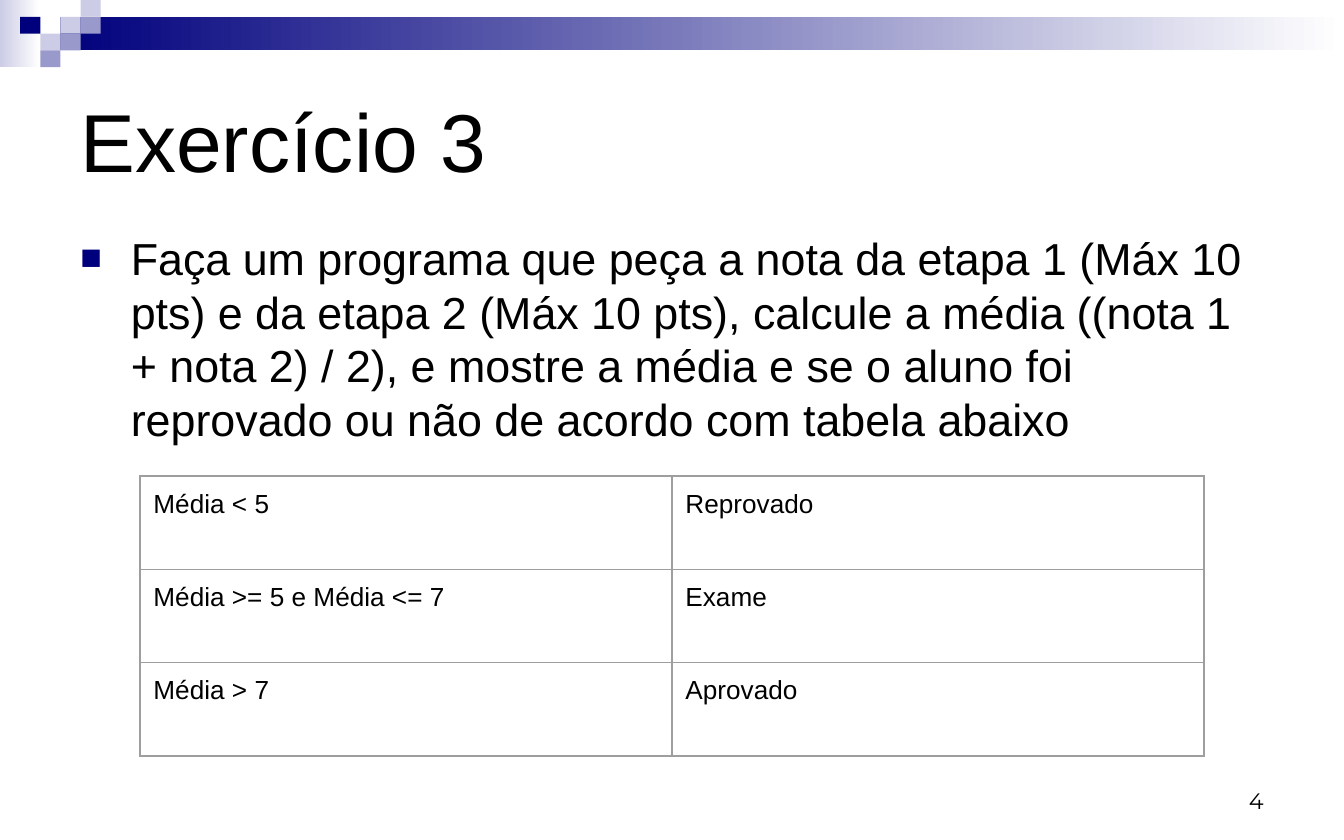
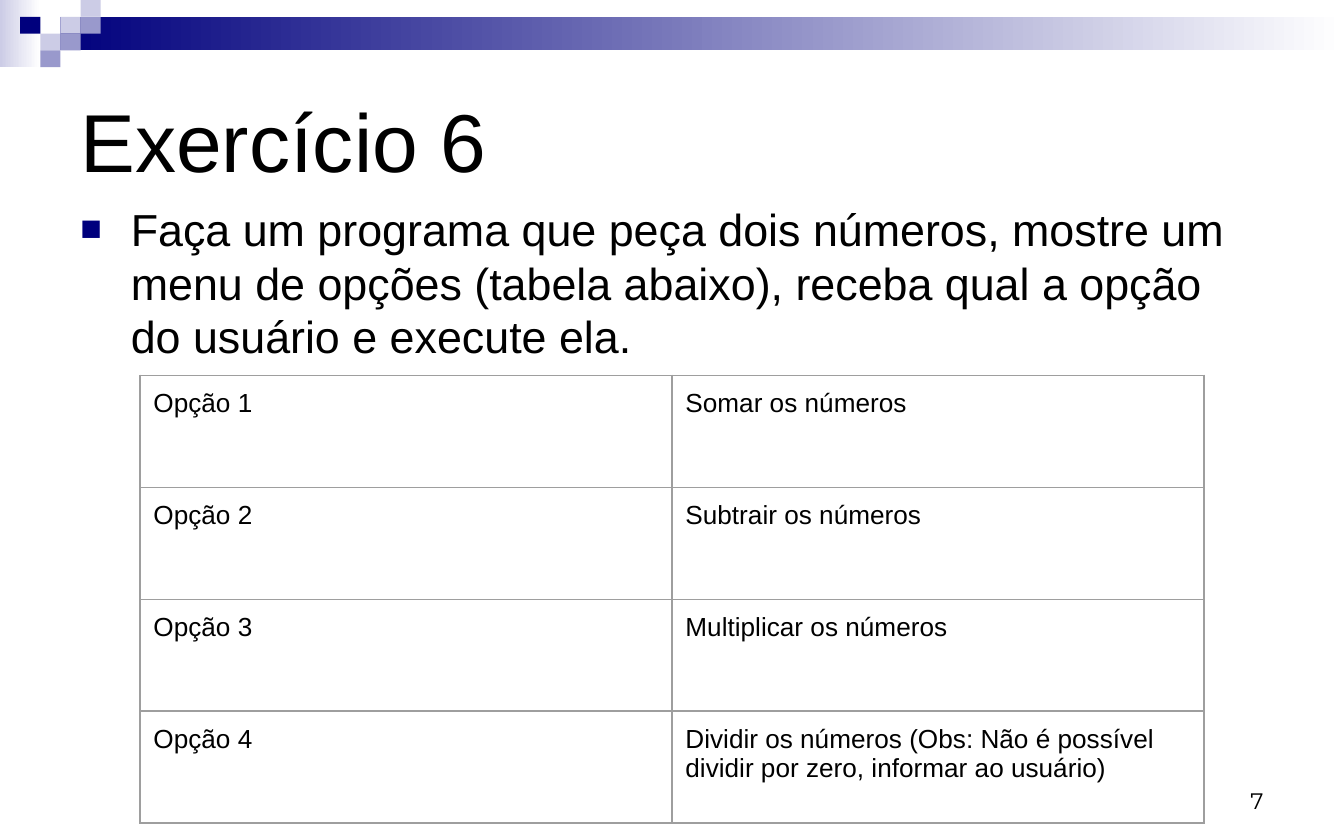
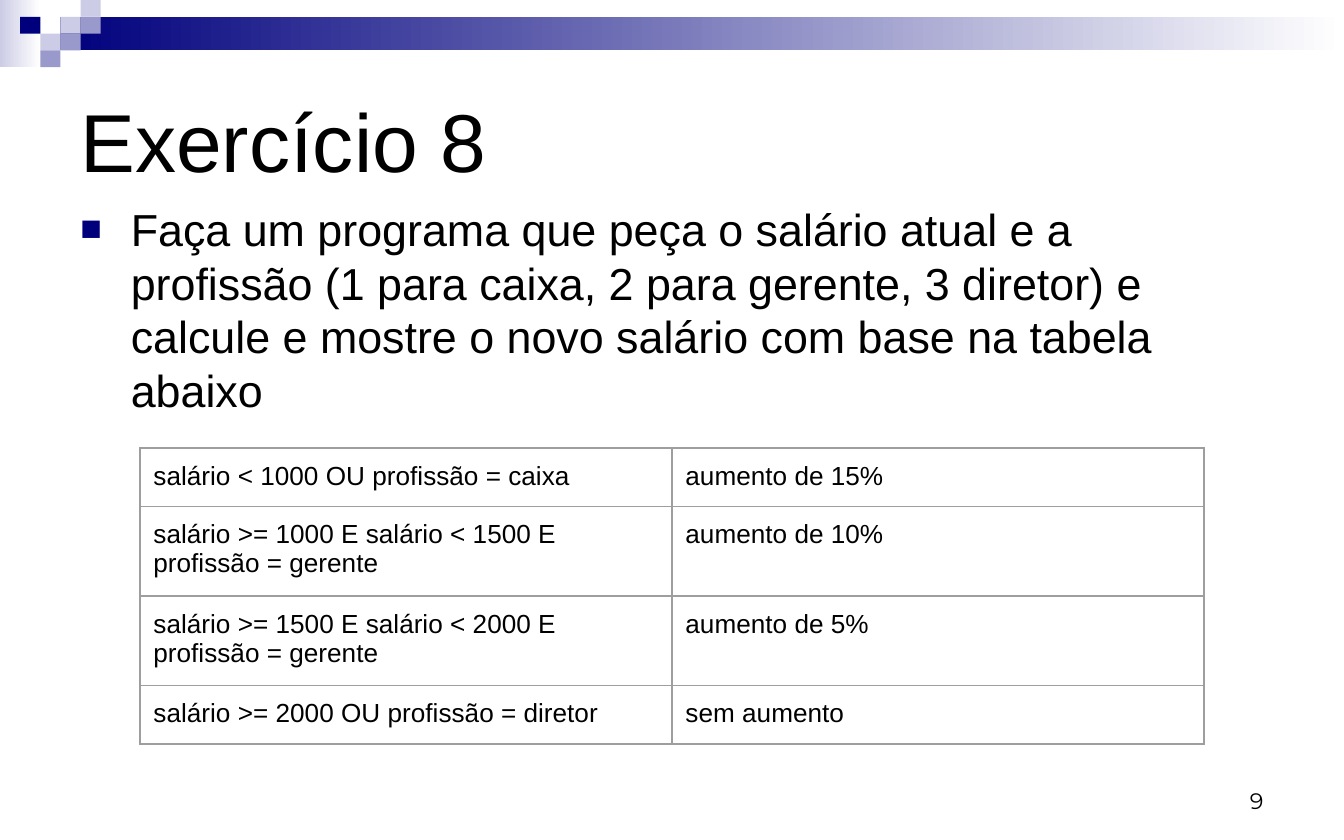
from dataclasses import dataclass

from lxml.etree import SubElement
from pptx import Presentation
from pptx.dml.color import RGBColor
from pptx.enum.shapes import MSO_SHAPE
from pptx.enum.text import MSO_ANCHOR, PP_ALIGN
from pptx.oxml import parse_xml
from pptx.oxml.ns import nsdecls, qn
from pptx.util import Emu, Inches, Pt

COLS, ROWS = 240, 150


@dataclass(frozen=True)
class Theme:
    navy: str = "00007D"
    mid: str = "9999CC"
    pale: str = "CCCCE6"
    white: str = "FFFFFF"
    ink: str = "000000"
    rule: str = "9E9E9E"
    font: str = "Arial"
    page_font: str = "Montserrat"
    title: int = 44
    body: int = 24
    cell: int = 14
    page: int = 12
    leading: float = 28.8
    border: float = 0.75


class Deck:
    """Holds the theme and the current slide; lengths are grid units."""

    def __init__(self, theme):
        self.theme = theme
        self.prs = Presentation()
        self.prs.slide_width = Inches(10)
        self.prs.slide_height = Inches(6.25)
        self.slide = None

    def across(self, cols):
        return Emu(round(self.prs.slide_width * cols / COLS))

    def down(self, rows):
        return Emu(round(self.prs.slide_height * rows / ROWS))

    def frame(self, left, top, width, height):
        return (self.across(left), self.down(top),
                self.across(width), self.down(height))

    def new(self):
        self.slide = self.prs.slides.add_slide(self.prs.slide_layouts[6])
        self.header()

    def block(self, box, *colors):
        """Draw a rectangle: one colour is solid, two make a gradient."""
        shape = self.slide.shapes.add_shape(MSO_SHAPE.RECTANGLE, *self.frame(*box))
        shape.shadow.inherit = False
        shape.line.fill.background()
        if len(colors) == 1:
            shape.fill.solid()
            shape.fill.fore_color.rgb = RGBColor.from_string(colors[0])
            return
        shape.fill.gradient()
        shape.fill.gradient_angle = 0
        for stop, color in zip(shape.fill.gradient_stops, colors):
            stop.color.rgb = RGBColor.from_string(color)

    def header(self):
        t = self.theme
        wide, tall = 3.6, 3
        self.block((0, 0, 2 * wide, 4 * tall), t.pale, t.white)
        self.block((3 * wide, tall, COLS - 3 * wide, 2 * tall), t.navy, t.white)
        tiles = ((3, 1, t.pale), (4, 0, t.pale), (4, 1, t.mid), (2, 2, t.pale),
                 (1, 1, t.navy), (3, 2, t.mid), (2, 3, t.mid))
        for col, row, color in tiles:
            self.block((col * wide, row * tall, wide, tall), color)

    def style(self, para, size, font=None):
        for run in para.runs:
            run.font.size = Pt(size)
            run.font.name = font or self.theme.font
            run.font.color.rgb = RGBColor.from_string(self.theme.ink)

    def text(self, box, words, size, anchor=MSO_ANCHOR.TOP, font=None):
        frame = self.slide.shapes.add_textbox(*self.frame(*box)).text_frame
        frame.word_wrap = True
        frame.vertical_anchor = anchor
        frame.text = words
        para = frame.paragraphs[0]
        self.style(para, size, font)
        return para

    def title(self, words):
        self.text((12, 10, 216, 30), words, self.theme.title, MSO_ANCHOR.MIDDLE)

    def body(self, top, height, words):
        para = self.text((12, top, 216, height), words, self.theme.body)
        para.line_spacing = Pt(self.theme.leading)
        para.space_before = Pt(1)
        self.bullet(para)

    def bullet(self, para):
        props = para._p.get_or_add_pPr()
        indent = self.across(9)
        props.set("marL", str(indent))
        props.set("indent", str(-indent))
        color = SubElement(props, qn("a:buClr"))
        SubElement(color, qn("a:srgbClr"), val=self.theme.navy)
        SubElement(props, qn("a:buSzPct"), val="80000")
        SubElement(props, qn("a:buFont"), typeface=self.theme.font)
        SubElement(props, qn("a:buChar"), char="■")

    def page(self, number):
        para = self.text((172, 136.5, 56, 10), str(number), self.theme.page,
                         MSO_ANCHOR.BOTTOM, self.theme.page_font)
        para.alignment = PP_ALIGN.RIGHT

    def table(self, top, step, rows):
        """Place a two-column table whose rows are at least step high."""
        box = self.frame(25, top, 190, step * len(rows))
        table = self.slide.shapes.add_table(len(rows), 2, *box).table
        table.first_row = table.horz_banding = False
        for r, row in enumerate(rows):
            table.rows[r].height = self.down(step)
            for c, words in enumerate(row):
                self.cell(table.cell(r, c), words)

    def cell(self, cell, words):
        cell.text_frame.text = words
        self.style(cell.text_frame.paragraphs[0], self.theme.cell)
        cell.margin_left = cell.margin_right = Inches(0.1)
        cell.margin_top = cell.margin_bottom = Inches(0.1)
        cell.fill.background()
        props = cell._tc.get_or_add_tcPr()
        for n, side in enumerate("LRTB"):
            props.insert(n, parse_xml(
                f'<a:ln{side} {nsdecls("a")} w="{Pt(self.theme.border)}">'
                f'<a:solidFill><a:srgbClr val="{self.theme.rule}"/></a:solidFill>'
                f'</a:ln{side}>'))


TASKS = (
    dict(
        title="Exercício 3", page=4, body=(40, 88),
        words="Faça um programa que peça a nota da etapa 1 (Máx 10 pts) e da "
              "etapa 2 (Máx 10 pts), calcule a média ((nota 1 + nota 2) / 2), "
              "e mostre a média e se o aluno foi reprovado ou não de acordo "
              "com tabela abaixo",
        grid=(85, 16.67),
        rows=(("Média < 5", "Reprovado"),
              ("Média >= 5 e Média <= 7", "Exame"),
              ("Média > 7", "Aprovado")),
    ),
    dict(
        title="Exercício 6", page=7, body=(34.8, 32),
        words="Faça um programa que peça dois números, mostre um menu de "
              "opções (tabela abaixo), receba qual a opção do usuário e "
              "execute ela.",
        grid=(67, 20),
        rows=(("Opção 1", "Somar os números"),
              ("Opção 2", "Subtrair os números"),
              ("Opção 3", "Multiplicar os números"),
              ("Opção 4", "Dividir os números (Obs: Não é possível dividir "
                          "por zero, informar ao usuário)")),
    ),
    dict(
        title="Exercício 8", page=9, body=(34.8, 32),
        words="Faça um programa que peça o salário atual e a profissão (1 para "
              "caixa, 2 para gerente, 3 diretor) e calcule e mostre o novo "
              "salário com base na tabela abaixo",
        grid=(80, 10),
        rows=(("salário < 1000 OU profissão = caixa", "aumento de 15%"),
              ("salário >= 1000 E salário < 1500 E profissão = gerente",
               "aumento de 10%"),
              ("salário >= 1500 E salário < 2000 E profissão = gerente",
               "aumento de 5%"),
              ("salário >= 2000 OU profissão = diretor", "sem aumento")),
    ),
)


def main():
    deck = Deck(Theme())
    for task in TASKS:
        deck.new()
        deck.title(task["title"])
        deck.body(*task["body"], task["words"])
        deck.page(task["page"])
        deck.table(*task["grid"], task["rows"])
    deck.prs.save("out.pptx")


if __name__ == "__main__":
    main()
